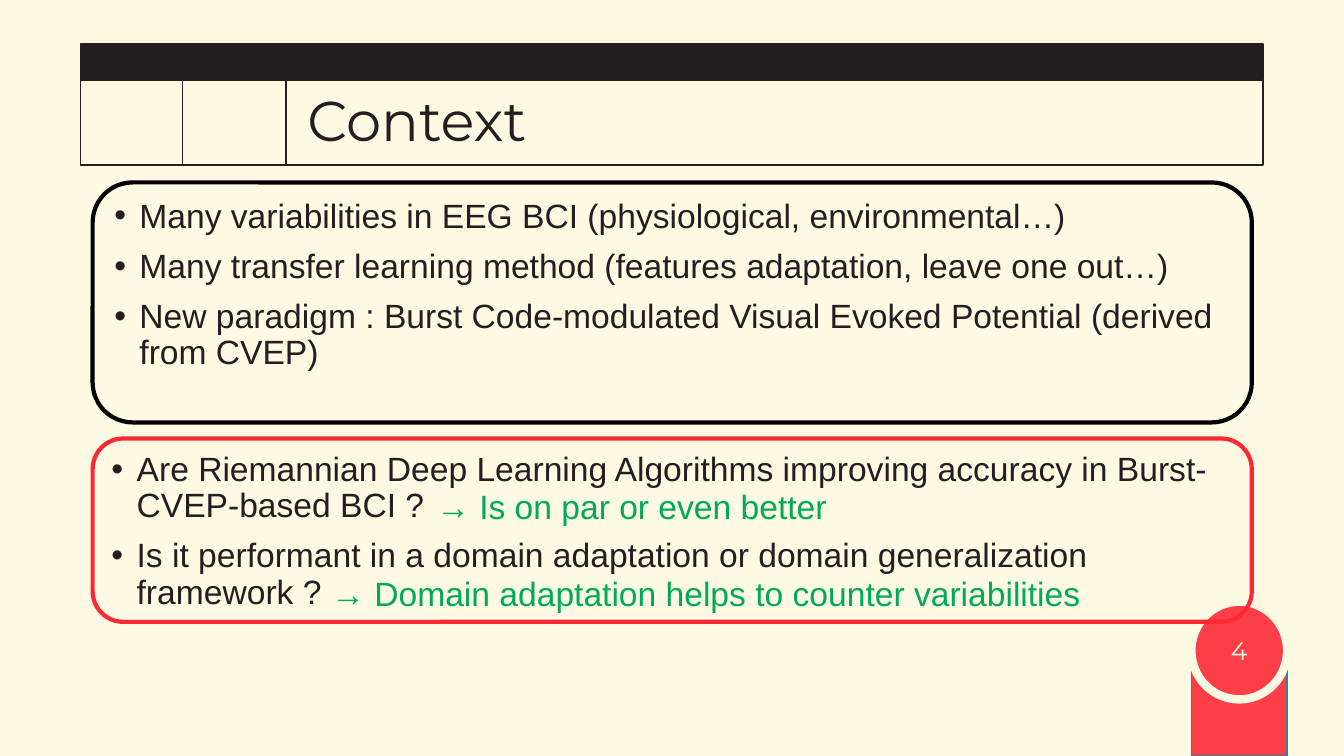
"""Build the Context slide with its two framed lists and page badge."""
import pptx
import pptx.util
import pptx.dml.color
import pptx.enum.shapes
import pptx.enum.text
import pptx.oxml.ns
from lxml import etree

Pt = pptx.util.Pt
Kind = pptx.enum.shapes.MSO_SHAPE
Align = pptx.enum.text.PP_ALIGN
Anchor = pptx.enum.text.MSO_ANCHOR
qn = pptx.oxml.ns.qn

HUES = {
    "cream": "FDF9E2", "ink": "231F20", "badge": "FC3F47", "teal": "2E829A",
    "red": "FC2834", "black": "000000", "green": "00AA59",
}


def color(name):
    return pptx.dml.color.RGBColor.from_string(HUES[name])


def add_box(slide, kind, place, fill, edge, width):
    box = slide.shapes.add_shape(kind, *map(Pt, place))
    box.shadow.inherit = False
    if fill:
        box.fill.solid()
        box.fill.fore_color.rgb = color(fill)
    else:
        box.fill.background()
    box.line.color.rgb = color(edge)
    box.line.width = Pt(width)
    return box


def add_rule(slide, x, top, end):
    rule = slide.shapes.add_connector(
        pptx.enum.shapes.MSO_CONNECTOR.STRAIGHT, Pt(x), Pt(top), Pt(x), Pt(end))
    rule.line.color.rgb = color("ink")
    rule.line.width = Pt(1.25)
    etree.SubElement(rule._element.spPr, qn("a:effectLst"))


def add_run(para, text, size, face, hue):
    run = para.add_run()
    run.text = text
    run.font.size = Pt(size)
    run.font.name = face
    run.font.color.rgb = color(hue)


def add_label(slide, place, text, size=24, face="Arial", hue="green"):
    frame = slide.shapes.add_textbox(*map(Pt, place)).text_frame
    frame.word_wrap = True
    add_run(frame.paragraphs[0], text, size, face, hue)
    return frame


def add_list(slide, place, edge, items):
    box = add_box(slide, Kind.ROUNDED_RECTANGLE, place, None, edge, 3)
    frame = box.text_frame
    frame.word_wrap = True
    frame.vertical_anchor = Anchor.TOP
    for i, item in enumerate(items):
        para = frame.add_paragraph() if i else frame.paragraphs[0]
        para.alignment = Align.LEFT
        para.line_spacing = 0.9
        para.space_before = Pt(10 if i else 0)
        props = para._p.get_or_add_pPr()
        props.set("marL", str(Pt(18)))
        props.set("indent", str(Pt(-18)))
        etree.SubElement(props, qn("a:buFont")).set("typeface", "Arial")
        etree.SubElement(props, qn("a:buChar")).set("char", "•")
        add_run(para, item, 24, "Arial", "ink")


def add_head(slide, title):
    left, width, top, end = 57.6, 844.6, 56.9, 118.1
    add_box(slide, Kind.RECTANGLE, (left, top, width, end - top), "cream", "ink", 1.25)
    add_box(slide, Kind.RECTANGLE, (left, 31.7, width, top - 31.7), "ink", "ink", 1.25)
    for x in (130.3, 204.5):
        add_rule(slide, x, top, end)
    frame = add_label(slide, (212.4, 57.6, 689.8, 61.2), title, 40, "Montserrat", "ink")
    frame.vertical_anchor = Anchor.MIDDLE
    frame.paragraphs[0].line_spacing = 0.9


def add_badge(slide, number):
    left, width = 851, 68.4
    add_box(slide, Kind.RECTANGLE, (left, 465.1, width, 74.9), "badge", "teal", 1)
    disc = add_box(slide, Kind.OVAL, (left, 429.8, width, 69.8), "badge", "cream", 6)
    frame = disc.text_frame
    frame.vertical_anchor = Anchor.MIDDLE
    para = frame.paragraphs[0]
    para.alignment = Align.CENTER
    add_run(para, number, 18, "Montserrat", "cream")


def main():
    deck = pptx.Presentation()
    deck.slide_width, deck.slide_height = Pt(960), Pt(540)
    slide = deck.slides.add_slide(deck.slide_layouts[6])
    slide.background.fill.solid()
    slide.background.fill.fore_color.rgb = color("cream")

    add_head(slide, "Context")
    add_badge(slide, "4")
    add_list(slide, (66.2, 313.2, 828, 131), "red", [
        "Are Riemannian Deep Learning Algorithms improving accuracy in "
        "Burst-CVEP-based BCI ?",
        "Is it performant in a domain adaptation or domain generalization framework ?",
    ])
    add_list(slide, (66.2, 130.3, 828, 171.4), "black", [
        "Many variabilities in EEG BCI (physiological, environmental…)",
        "Many transfer learning method (features adaptation, leave one out…)",
        "New paradigm : Burst Code-modulated Visual Evoked Potential "
        "(derived from CVEP)",
    ])
    add_label(slide, (304.6, 343.4, 504.7, 36), "→ Is on par or even better")
    add_label(slide, (229.7, 405.4, 558.7, 36),
              "→ Domain adaptation helps to counter variabilities")
    deck.save("out.pptx")


if __name__ == "__main__":
    main()
